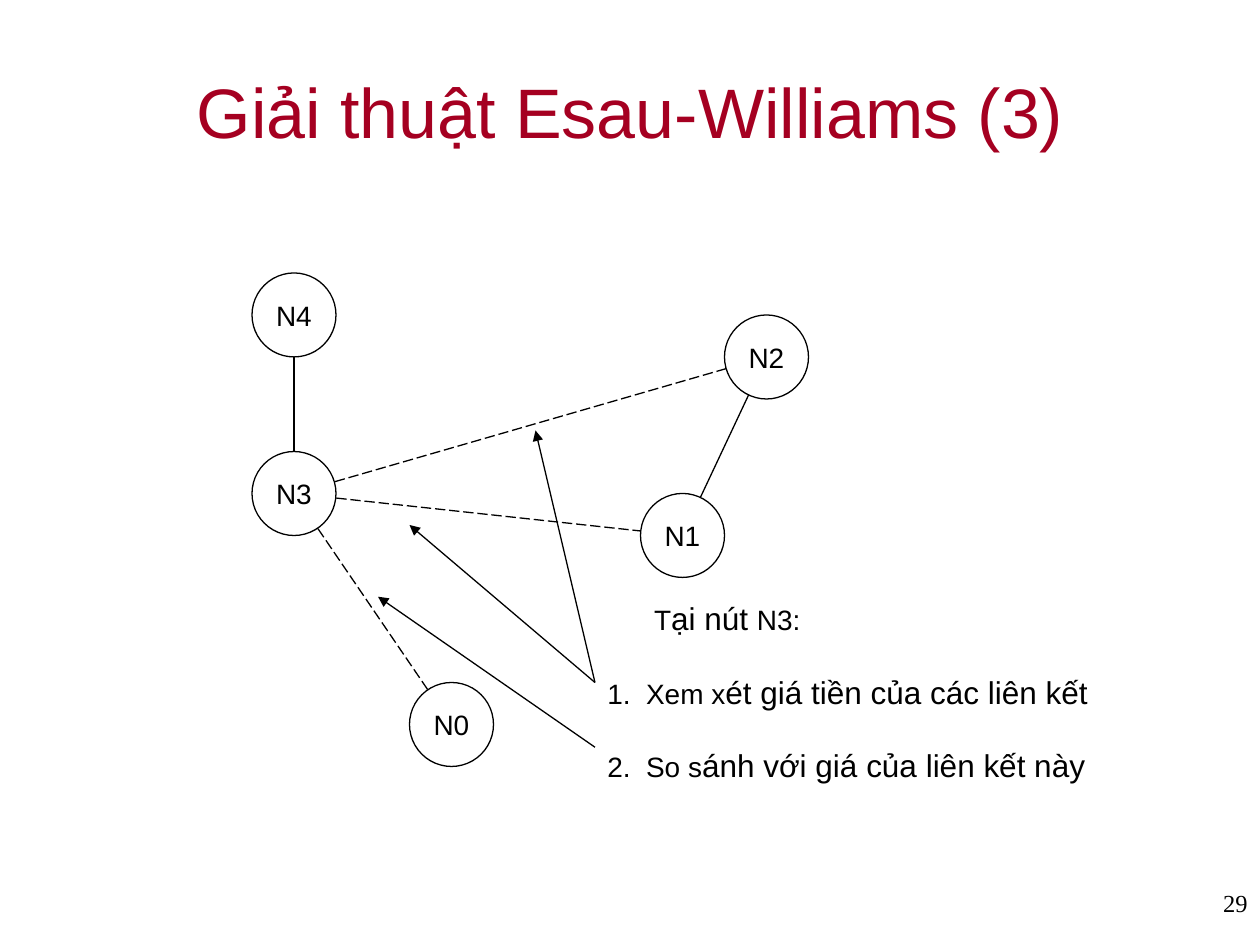
from lxml import etree
from pptx import Presentation
from pptx.dml.color import RGBColor
from pptx.enum.dml import MSO_LINE
from pptx.enum.shapes import MSO_CONNECTOR, MSO_SHAPE
from pptx.enum.text import MSO_ANCHOR, PP_ALIGN
from pptx.oxml.ns import qn
from pptx.util import Pt

LEFT, CENTER, RIGHT = PP_ALIGN.LEFT, PP_ALIGN.CENTER, PP_ALIGN.RIGHT
TOP, MIDDLE = MSO_ANCHOR.TOP, MSO_ANCHOR.MIDDLE
STRAIGHT, OVAL, DASH = MSO_CONNECTOR.STRAIGHT, MSO_SHAPE.OVAL, MSO_LINE.LONG_DASH
BLACK, WHITE, RED = "000000", "FFFFFF", "A50021"
SMALL, LARGE = 16, 18


def rgb(value):
    return RGBColor.from_string(value)


def add_run(p, text, size=SMALL, color=BLACK, font="Arial"):
    r = p.add_run()
    r.text = text
    r.font.size, r.font.name = Pt(size), font
    r.font.color.rgb = rgb(color)


def indent(p, left, numbered=False):
    pPr = p._p.get_or_add_pPr()
    pPr.set("marL", str(Pt(left)))
    if numbered:
        pPr.set("indent", str(-Pt(left)))
        etree.SubElement(pPr, qn("a:buAutoNum"), type="arabicPeriod")


class Diagram:
    line_width = 0.75
    diameter = 48

    def __init__(self, slide):
        self.s = slide

    def box(self, x, y, w, h, anchor=TOP):
        tf = self.s.shapes.add_textbox(Pt(x), Pt(y), Pt(w), Pt(h)).text_frame
        tf.word_wrap = True
        tf.vertical_anchor = anchor
        return tf

    def text(self, x, y, w, h, text, align=LEFT, anchor=TOP, **fmt):
        p = self.box(x, y, w, h, anchor).paragraphs[0]
        p.alignment = align
        add_run(p, text, **fmt)

    def line(self, start, end, dash=None, arrow=False):
        sp = self.s.shapes.add_connector(STRAIGHT, *map(Pt, start + end))
        sp.line.color.rgb = rgb(BLACK)
        sp.line.width = Pt(self.line_width)
        if dash:
            sp.line.dash_style = dash
        if arrow:
            etree.SubElement(sp.line._get_or_add_ln(), qn("a:tailEnd"), type="triangle")
        etree.SubElement(sp._element.spPr, qn("a:effectLst"))

    def node(self, name, center):
        d = self.diameter
        x, y = center
        sp = self.s.shapes.add_shape(OVAL, Pt(x - d / 2), Pt(y - d / 2), Pt(d), Pt(d))
        sp.shadow.inherit = False
        sp.fill.solid()
        sp.fill.fore_color.rgb = rgb(WHITE)
        sp.line.color.rgb = rgb(BLACK)
        sp.line.width = Pt(self.line_width)
        tf = sp.text_frame
        tf.word_wrap = False
        tf.vertical_anchor = MIDDLE
        p = tf.paragraphs[0]
        p.alignment = CENTER
        add_run(p, name)

    def steps(self, x, y, w, h, heading, items, gap=20.3):
        tf = self.box(x, y, w, h)
        for i, runs in enumerate([heading] + items):
            p = tf.paragraphs[0] if i == 0 else tf.add_paragraph()
            if i == 0:
                indent(p, 26.7)
            else:
                indent(p, 22.2, numbered=True)
                p.space_before = Pt(gap)
            for text, size in runs:
                add_run(p, text, size)


def main():
    prs = Presentation()
    prs.slide_width, prs.slide_height = Pt(720), Pt(540)
    d = Diagram(prs.slides.add_slide(prs.slide_layouts[6]))

    # Title and page number
    d.text(54, 18, 612, 90, "Giải thuật Esau-Williams (3)", CENTER, MIDDLE,
           size=40, color=RED)
    d.text(570, 504, 150, 36, "29", RIGHT, size=14, font="Times New Roman")

    # Links run between node centres, behind the nodes
    nodes = {"N4": (168, 180), "N3": (168, 282), "N1": (390, 306),
             "N2": (438, 204), "N0": (258, 414)}
    for a, b, dash in [("N3", "N2", DASH), ("N3", "N1", DASH), ("N3", "N0", DASH),
                       ("N2", "N1", None), ("N4", "N3", None)]:
        d.line(nodes[a], nodes[b], dash)
    for name, center in nodes.items():
        d.node(name, center)

    # Steps at node N3
    d.steps(340, 339, 294, 111,
            [("T", SMALL), ("ại nút ", LARGE), ("N3:", SMALL)],
            [[("Xem x", SMALL), ("ét giá tiền của các liên kết", LARGE)],
             [("So s", SMALL), ("ánh với giá của liên kết này", LARGE)]])

    # Arrows from the steps to the links
    for start, end in [((340, 390), (234, 300)), ((340, 390), (306, 246)),
                       ((340, 427), (216, 341))]:
        d.line(start, end, arrow=True)

    prs.save("out.pptx")


if __name__ == "__main__":
    main()
